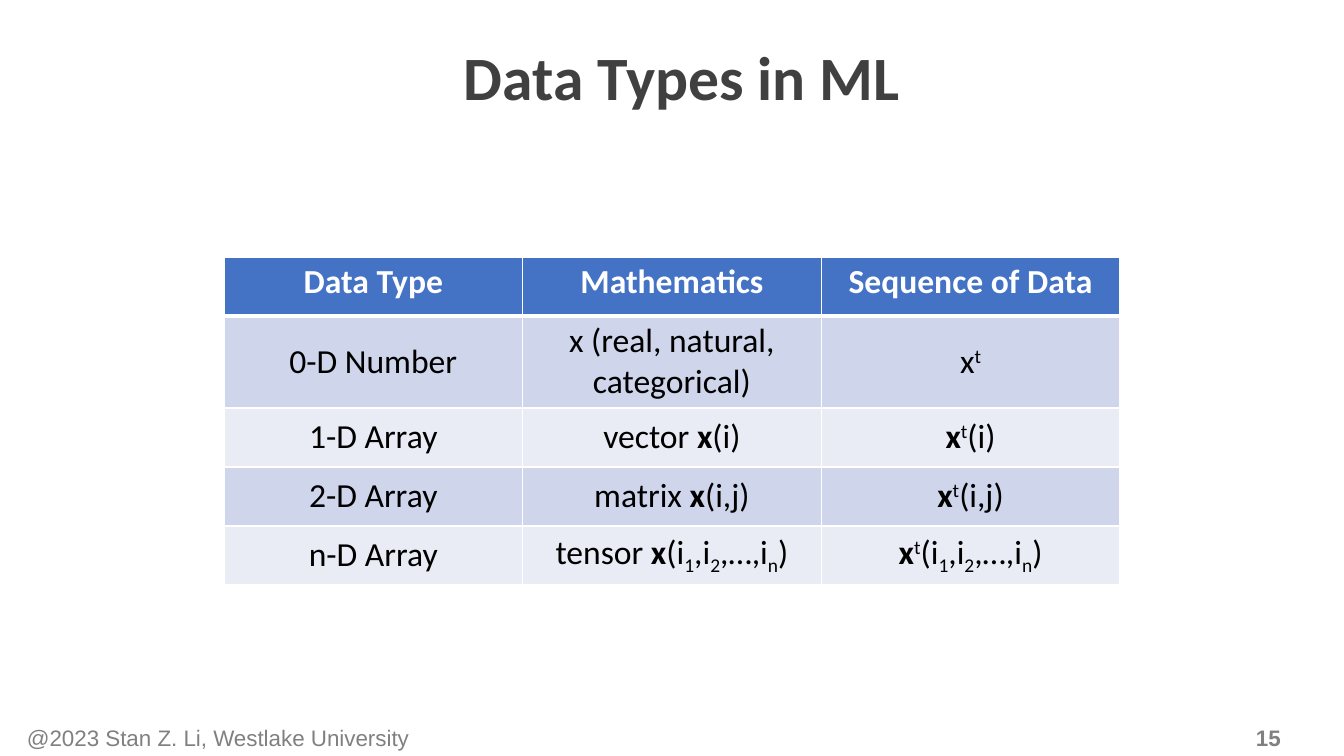
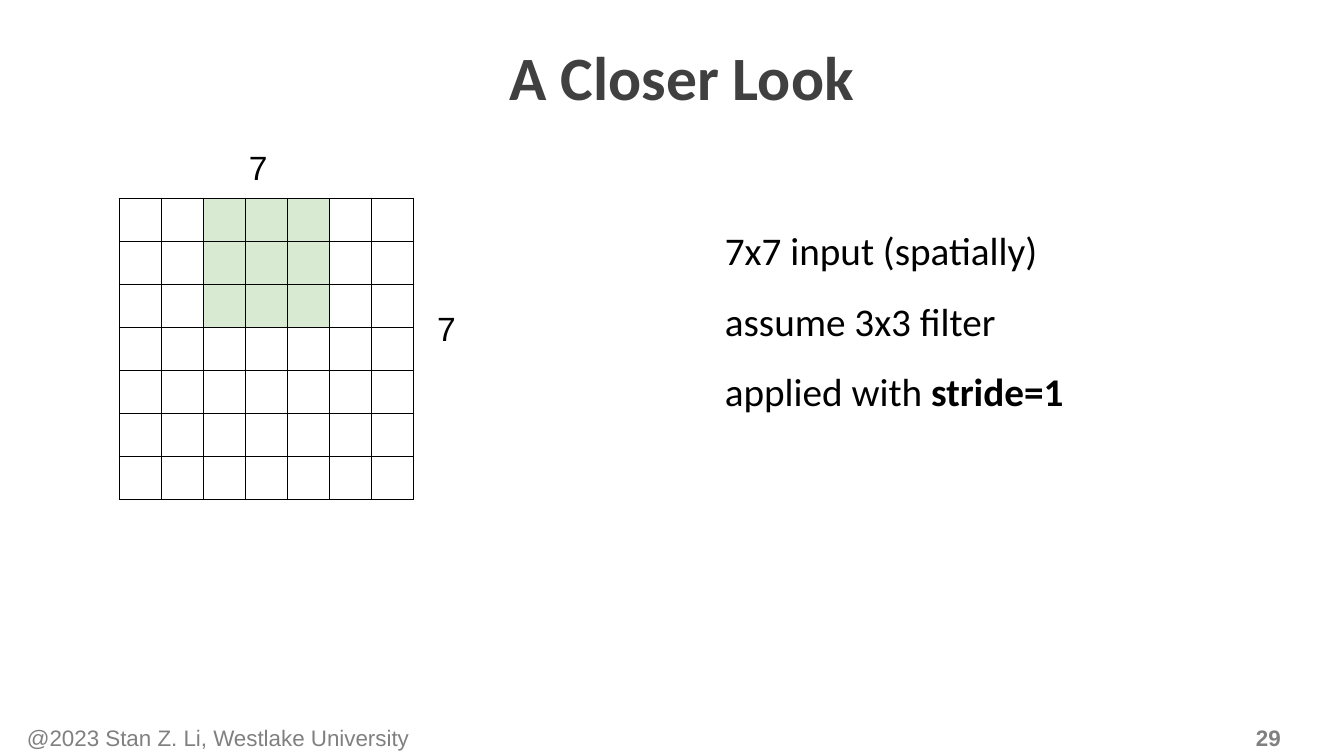
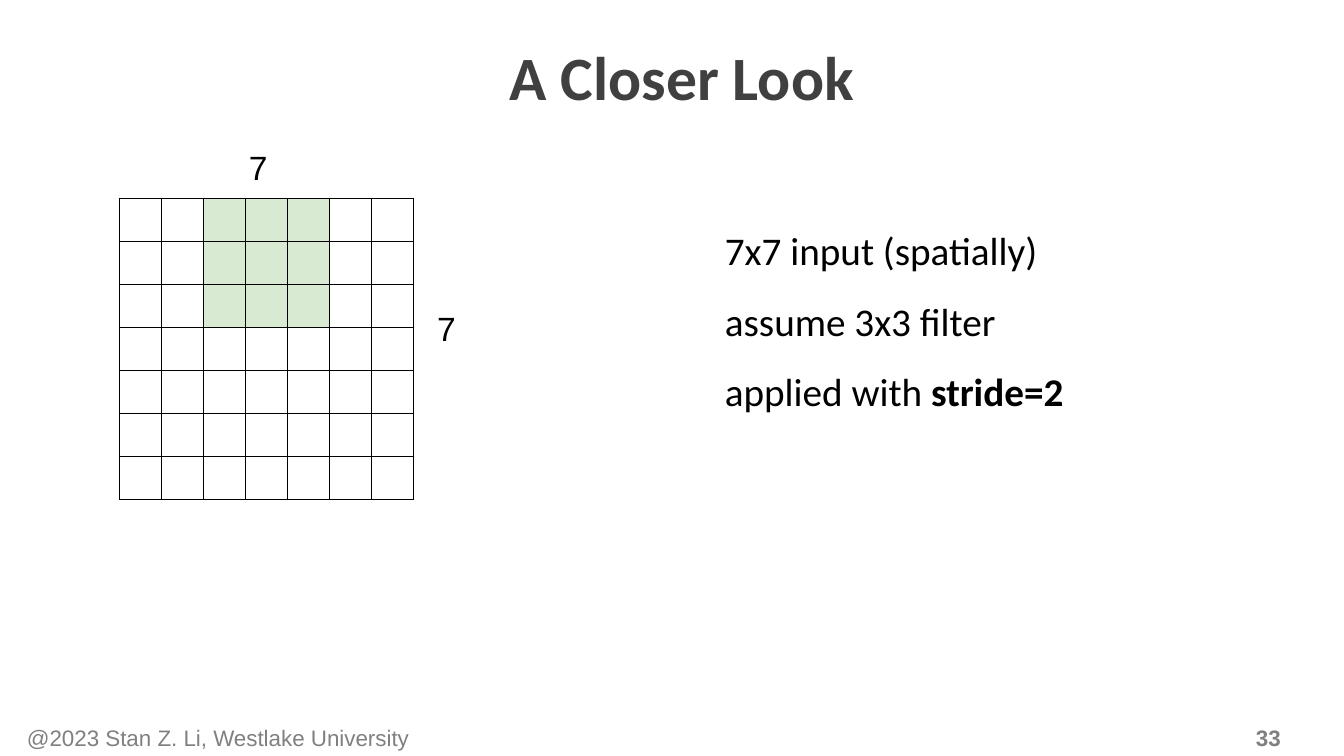
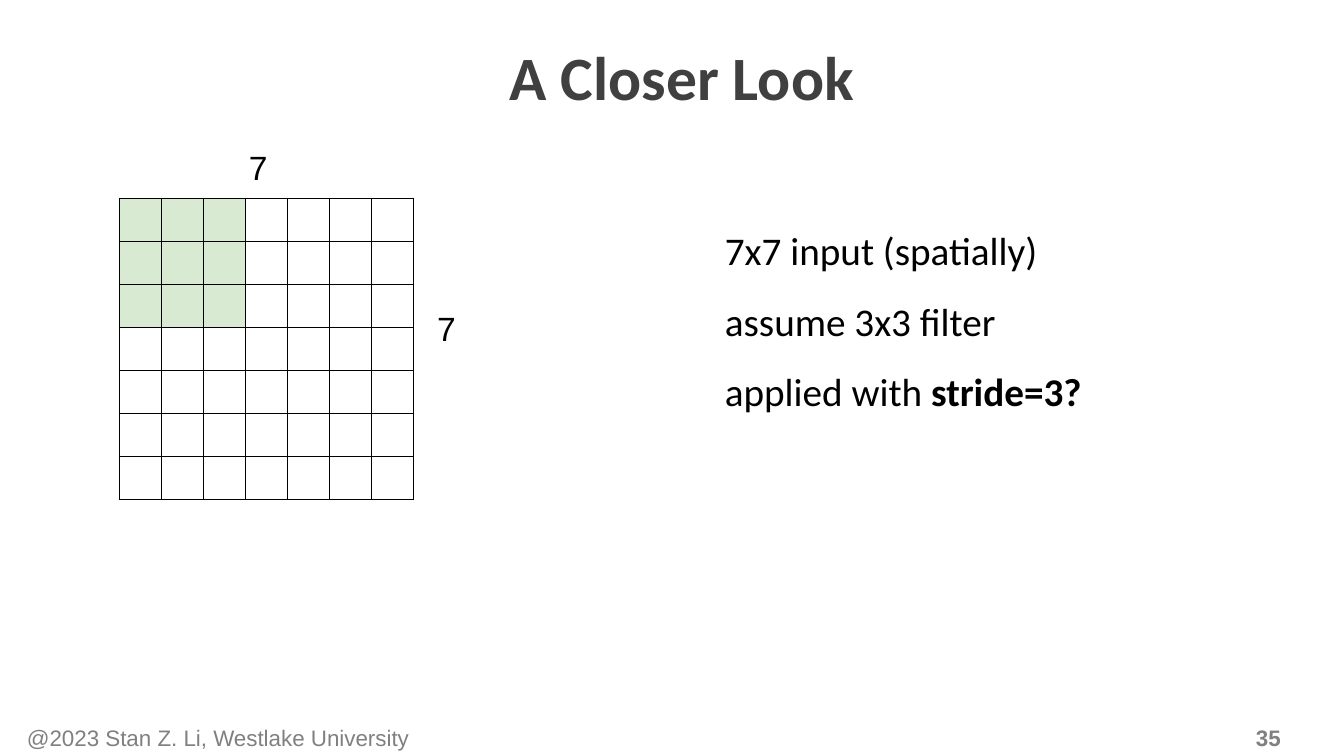
from lxml import etree
from pptx import Presentation
from pptx.dml.color import RGBColor
from pptx.enum.text import MSO_ANCHOR, MSO_AUTO_SIZE, PP_ALIGN
from pptx.oxml.ns import qn
from pptx.util import Emu, Pt

TOP, MIDDLE = MSO_ANCHOR.TOP, MSO_ANCHOR.MIDDLE
CENTER = PP_ALIGN.CENTER
NO_AUTOFIT = MSO_AUTO_SIZE.NONE
TITLE_ONLY = 5

PX_PER_INCH = 100.8
PAGE_WIDTH, PAGE_HEIGHT = 1344, 756

BLACK, WHITE = "000000", "FFFFFF"
DARK_GREY, GREY = "404040", "808080"
BLUE, BLUE_BAND, PALE_BAND = "4472C4", "CFD5EA", "E9EBF5"
FILTER_GREEN = "D9EAD3"
HEADING_FONT, LABEL_FONT = "Calibri", "Arial"
COPYRIGHT = "@2023 Stan Z. Li, Westlake University"

# Run styles
PLAIN, BOLD, SUPER, SUB = "plain", "bold", "super", "sub"
BASELINES = {SUPER: "30000", SUB: "-25000"}


def px(length):
    return Emu(round(length * 914400 / PX_PER_INCH))


def color(value):
    return RGBColor.from_string(value)


def write(para, spans, size, font, ink, bold=None):
    """Fill a paragraph from a string or a list of (text, style) spans."""
    if isinstance(spans, str):
        spans = [(spans, PLAIN)]
    para.font.size, para.font.name = Pt(size), font
    para.font.color.rgb = color(ink)
    para.font.bold = bold
    for text, style in spans:
        span = para.add_run()
        span.text = text
        if style == BOLD:
            span.font.bold = True
        elif style in BASELINES:
            span._r.get_or_add_rPr().set("baseline", BASELINES[style])


def add_text(page, box, lines, size, font, ink, bold=None, anchor=TOP,
             inset=True, spacing=None):
    frame = page.shapes.add_textbox(*map(px, box)).text_frame
    frame.word_wrap = True
    frame.vertical_anchor = anchor
    if not inset:
        frame.margin_left = frame.margin_right = 0
        frame.margin_top = frame.margin_bottom = 0
    for number, line in enumerate(lines):
        para = frame.add_paragraph() if number else frame.paragraphs[0]
        para.line_spacing = spacing
        write(para, line, size, font, ink, bold)


def set_borders(cell, ink, left, right, top, bottom):
    """Draw the four cell borders; widths are in points."""
    props = cell._tc.get_or_add_tcPr()
    for side, width in zip("LRTB", (left, right, top, bottom)):
        line = etree.SubElement(props, qn(f"a:ln{side}"), w=str(Pt(width)))
        fill = etree.SubElement(line, qn("a:solidFill"))
        etree.SubElement(fill, qn("a:srgbClr"), val=ink)


def add_plain_table(page, box, row_heights, column_count):
    left, top, width = box
    shape = page.shapes.add_table(len(row_heights), column_count, px(left),
                                  px(top), px(width), px(sum(row_heights)))
    table = shape.table
    table.first_row = table.horz_banding = False
    for column in table.columns:
        column.width = px(width / column_count)
    for row, height in zip(table.rows, row_heights):
        row.height = px(height)
    return table


def add_page(deck, title, number):
    """Add a slide with the shared title, copyright line and page number."""
    page = deck.slides.add_slide(deck.slide_layouts[TITLE_ONLY])
    heading = page.shapes.title
    heading.left, heading.top = px(0), px(26)
    heading.width, heading.height = px(PAGE_WIDTH), px(109)
    frame = heading.text_frame
    frame.auto_size = NO_AUTOFIT
    frame.vertical_anchor = MIDDLE
    para = frame.paragraphs[0]
    para.alignment, para.line_spacing = CENTER, 0.9
    para._p.get_or_add_pPr().set("marL", str(px(20)))
    write(para, title, 44, HEADING_FONT, DARK_GREY, bold=True)

    # Footer
    add_text(page, (17, 719, 569, 37), [COPYRIGHT], 16, LABEL_FONT, GREY,
             anchor=MIDDLE)
    add_text(page, (1246, 725, 83, 26), [str(number)], 16, LABEL_FONT, GREY,
             bold=True, anchor=MIDDLE)
    return page


def add_data_types(page, box):
    """Table of data types with a blue header and banded rows."""
    vector, power = ("x", BOLD), ("t", SUPER)
    many = [("(i", PLAIN), ("1", SUB), (",i", PLAIN), ("2", SUB),
            (",…,i", PLAIN), ("n", SUB), (")", PLAIN)]
    rows = [
        ["Data Type", "Mathematics", "Sequence of Data"],
        ["0-D Number", "x (real, natural, categorical)",
         [("x", PLAIN), power]],
    ]
    for name, kind, index in [("1-D", "vector ", [("(i)", PLAIN)]),
                              ("2-D", "matrix ", [("(i,j)", PLAIN)]),
                              ("n-D", "tensor ", many)]:
        rows.append([f"{name} Array", [(kind, PLAIN), vector, *index],
                     [vector, power, *index]])

    table = add_plain_table(page, box, [59, 92, 59, 59, 59], 3)
    for r, row in enumerate(rows):
        header = r == 0
        for c, spans in enumerate(row):
            cell = table.cell(r, c)
            set_borders(cell, WHITE, 1, 1, 3 if r == 1 else 1,
                        3 if header else 1)
            cell.fill.solid()
            cell.fill.fore_color.rgb = color(
                BLUE if header else BLUE_BAND if r % 2 else PALE_BAND)
            cell.vertical_anchor = TOP if header else MIDDLE
            para = cell.text_frame.paragraphs[0]
            para.alignment = CENTER
            write(para, spans, 24, HEADING_FONT, WHITE if header else BLACK,
                  bold=header)


def add_input_grid(page, box, filter_column, size=7, filter_size=3):
    """Square input grid with its side lengths and the filter shaded."""
    left, top, width, height = box
    table = add_plain_table(page, (left, top, width), [height / size] * size,
                            size)
    for r in range(size):
        for c in range(size):
            cell = table.cell(r, c)
            set_borders(cell, BLACK, 0.75, 0.75, 0.75, 0.75)
            if r < filter_size and 0 <= c - filter_column < filter_size:
                cell.fill.solid()
                cell.fill.fore_color.rgb = color(FILTER_GREEN)
            else:
                cell.fill.background()
    # Side lengths
    add_text(page, (left + 120, top - 56, 40, 50), [str(size)], 24,
             LABEL_FONT, BLACK)
    add_text(page, (left + width + 23, top + 110, 21, 36), [str(size)], 24,
             LABEL_FONT, BLACK, inset=False)


def add_stride_page(deck, number, stride, filter_column):
    page = add_page(deck, "A Closer Look", number)
    add_input_grid(page, (119, 198, 295, 302), filter_column)
    lines = ["7x7 input (spatially)", "assume 3x3 filter",
             [("applied with ", PLAIN), (f"stride={stride}", BOLD)]]
    add_text(page, (715, 198, 407, 217), lines, 28, HEADING_FONT, BLACK,
             spacing=1.5)


def main():
    deck = Presentation()
    deck.slide_width, deck.slide_height = px(PAGE_WIDTH), px(PAGE_HEIGHT)
    add_data_types(add_page(deck, "Data Types in ML", 15), (224, 257, 896))
    for number, stride, filter_column in [(29, "1", 2), (33, "2", 2),
                                          (35, "3?", 0)]:
        add_stride_page(deck, number, stride, filter_column)
    deck.save("out.pptx")


if __name__ == "__main__":
    main()
